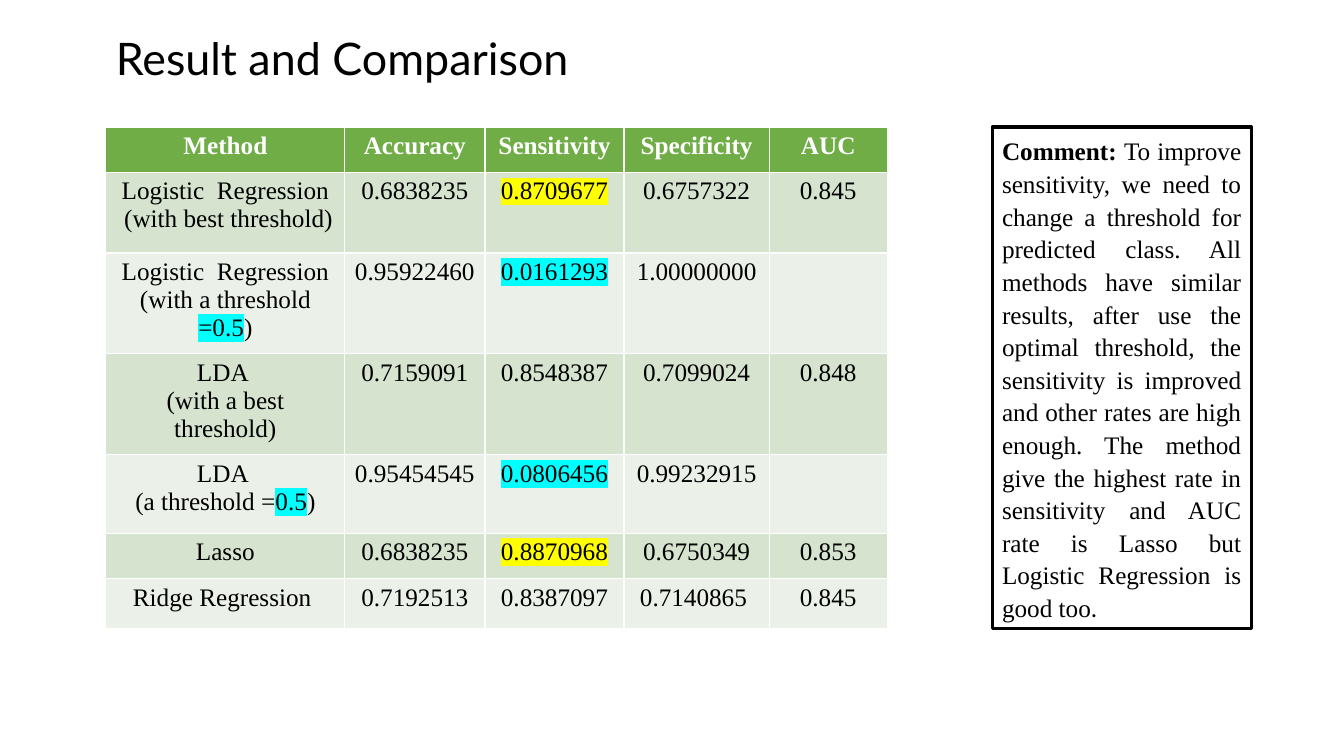
from typing import NamedTuple

from lxml.etree import SubElement
from pptx import Presentation
from pptx.dml.color import RGBColor
from pptx.enum.shapes import MSO_SHAPE
from pptx.enum.text import MSO_ANCHOR, PP_ALIGN
from pptx.oxml.ns import qn
from pptx.util import Inches, Pt

BLACK = RGBColor(0x00, 0x00, 0x00)
WHITE = RGBColor(0xFF, 0xFF, 0xFF)
GREEN = RGBColor(0x70, 0xAD, 0x47)
BAND_DARK = RGBColor(0xD5, 0xE3, 0xCF)
BAND_LIGHT = RGBColor(0xEB, 0xF1, 0xE9)
YELLOW = RGBColor(0xFF, 0xFF, 0x00)
CYAN = RGBColor(0x00, 0xFF, 0xFF)

SERIF = "Times New Roman"
TABLE_LEFT, CONTENT_TOP, CONTENT_HEIGHT = 1.05, 1.26, 4.98
COLUMN_WIDTHS = [2.37, 1.39, 1.38, 1.44, 1.17]
ROW_HEIGHTS = [0.45, 0.8, 0.78, 0.78, 0.78, 0.45, 0.5]
HEADERS = ["Method", "Accuracy", "Sensitivity", "Specificity", "AUC"]


class Piece(NamedTuple):
    text: str
    highlight: RGBColor | None = None


class Result(NamedTuple):
    method: list[list[Piece]]
    accuracy: str
    sensitivity: Piece
    specificity: str
    auc: str = ""


RESULTS = [
    Result([[Piece("Logistic  Regression")], [Piece(" (with best threshold)")]],
           "0.6838235", Piece("0.8709677", YELLOW), "0.6757322", "0.845"),
    Result([[Piece("Logistic  Regression")],
            [Piece("(with a threshold "), Piece("=0.5", CYAN), Piece(")")]],
           "0.95922460", Piece("0.0161293", CYAN), "1.00000000"),
    Result([[Piece("LDA ")], [Piece("(with a best threshold)")]],
           "0.7159091", Piece("0.8548387"), "0.7099024", "0.848"),
    Result([[Piece("LDA ")], [Piece("(a threshold ="), Piece("0.5", CYAN), Piece(")")]],
           "0.95454545", Piece("0.0806456", CYAN), "0.99232915"),
    Result([[Piece("Lasso")]],
           "0.6838235", Piece("0.8870968", YELLOW), "0.6750349", "0.853"),
    Result([[Piece("Ridge Regression ")]],
           "0.7192513", Piece("0.8387097"), "0.7140865 ", "0.845"),
]

COMMENT = (
    "To improve sensitivity, we need to change a threshold for predicted class. "
    "All methods have similar results, after use the optimal threshold, the "
    "sensitivity is improved and other rates are high enough. The method give the "
    "highest rate in sensitivity and AUC rate is Lasso but Logistic Regression is "
    "good too"
)


def style_font(font, name: str, size: float, color: RGBColor, bold: bool | None = None) -> None:
    font.name, font.size, font.bold = name, Pt(size), bold
    font.color.rgb = color


def highlight_run(r, color: RGBColor) -> None:
    highlight = SubElement(r.font._element, qn("a:highlight"))
    SubElement(highlight, qn("a:srgbClr"), val=str(color))


def fill_cell(cell, lines: list[list[Piece]], fill: RGBColor, color: RGBColor, bold: bool) -> None:
    cell.fill.solid()
    cell.fill.fore_color.rgb = fill
    tf = cell.text_frame
    for i, pieces in enumerate(lines):
        p = tf.add_paragraph() if i else tf.paragraphs[0]
        p.alignment = PP_ALIGN.CENTER
        style_font(p.font, SERIF, 18, color, bold)
        for piece in pieces:
            if not piece.text:
                continue
            r = p.add_run()
            r.text = piece.text
            if piece.highlight is not None:
                highlight_run(r, piece.highlight)


def add_title(s) -> None:
    tf = s.shapes.add_textbox(Inches(1.05), Inches(0.11), Inches(11.37), Inches(1)).text_frame
    tf.word_wrap = True
    tf.vertical_anchor = MSO_ANCHOR.MIDDLE
    p = tf.paragraphs[0]
    p.text = "Result and Comparison"
    p.line_spacing = 0.9
    style_font(p.font, "Lato", 32, BLACK)


def add_results_table(s) -> None:
    table = s.shapes.add_table(
        len(ROW_HEIGHTS), len(COLUMN_WIDTHS), Inches(TABLE_LEFT), Inches(CONTENT_TOP),
        Inches(sum(COLUMN_WIDTHS)), Inches(sum(ROW_HEIGHTS))).table
    for column, width in zip(table.columns, COLUMN_WIDTHS):
        column.width = Inches(width)
    for row, height in zip(table.rows, ROW_HEIGHTS):
        row.height = Inches(height)
    for cell, header in zip(table.rows[0].cells, HEADERS):
        fill_cell(cell, [[Piece(header)]], GREEN, WHITE, True)
    for i, result in enumerate(RESULTS, start=1):
        fill = BAND_DARK if i % 2 else BAND_LIGHT
        contents = [
            result.method,
            [[Piece(result.accuracy)]],
            [[result.sensitivity]],
            [[Piece(result.specificity)]],
            [[Piece(result.auc)]],
        ]
        for cell, lines in zip(table.rows[i].cells, contents):
            fill_cell(cell, lines, fill, BLACK, False)


def add_comment_box(s) -> None:
    sp = s.shapes.add_shape(MSO_SHAPE.RECTANGLE, Inches(9.84), Inches(CONTENT_TOP),
                            Inches(2.57), Inches(CONTENT_HEIGHT))
    sp.shadow.inherit = False
    sp.fill.solid()
    sp.fill.fore_color.rgb = WHITE
    sp.line.color.rgb = BLACK
    sp.line.width = Pt(2.25)
    tf = sp.text_frame
    tf.word_wrap = True
    tf.vertical_anchor = MSO_ANCHOR.MIDDLE
    p = tf.paragraphs[0]
    p.alignment = PP_ALIGN.JUSTIFY
    p.line_spacing = 1.08
    for text, name, bold in (("Comment: ", SERIF, True), (COMMENT, SERIF, False),
                             (".", "Calibri", False)):
        r = p.add_run()
        r.text = text
        style_font(r.font, name, 18, BLACK, bold)


def main() -> None:
    prs = Presentation()
    prs.slide_width, prs.slide_height = Inches(13.33), Inches(7.5)
    s = prs.slides.add_slide(prs.slide_layouts[6])
    add_title(s)
    add_results_table(s)
    add_comment_box(s)
    prs.save("out.pptx")


if __name__ == "__main__":
    main()
